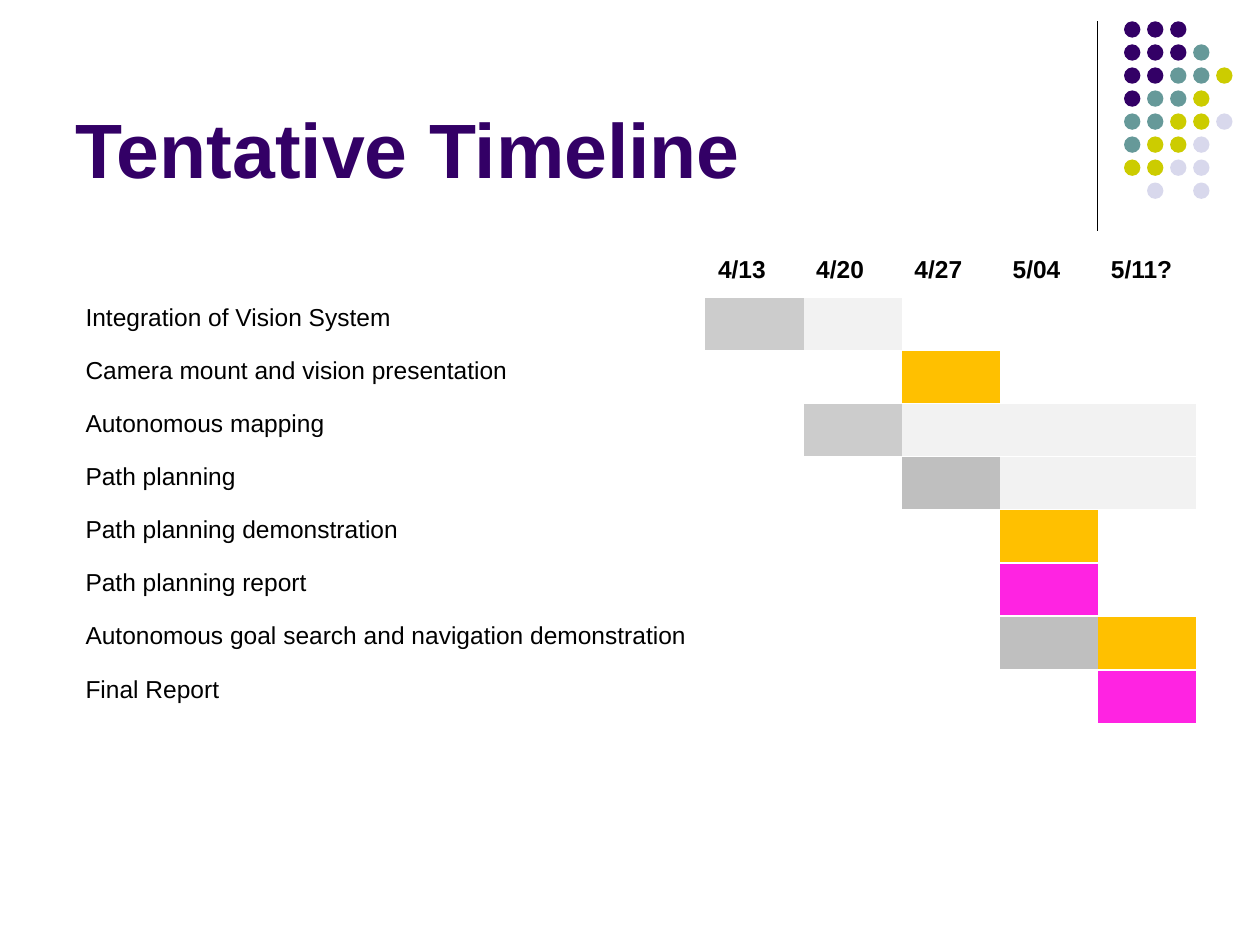
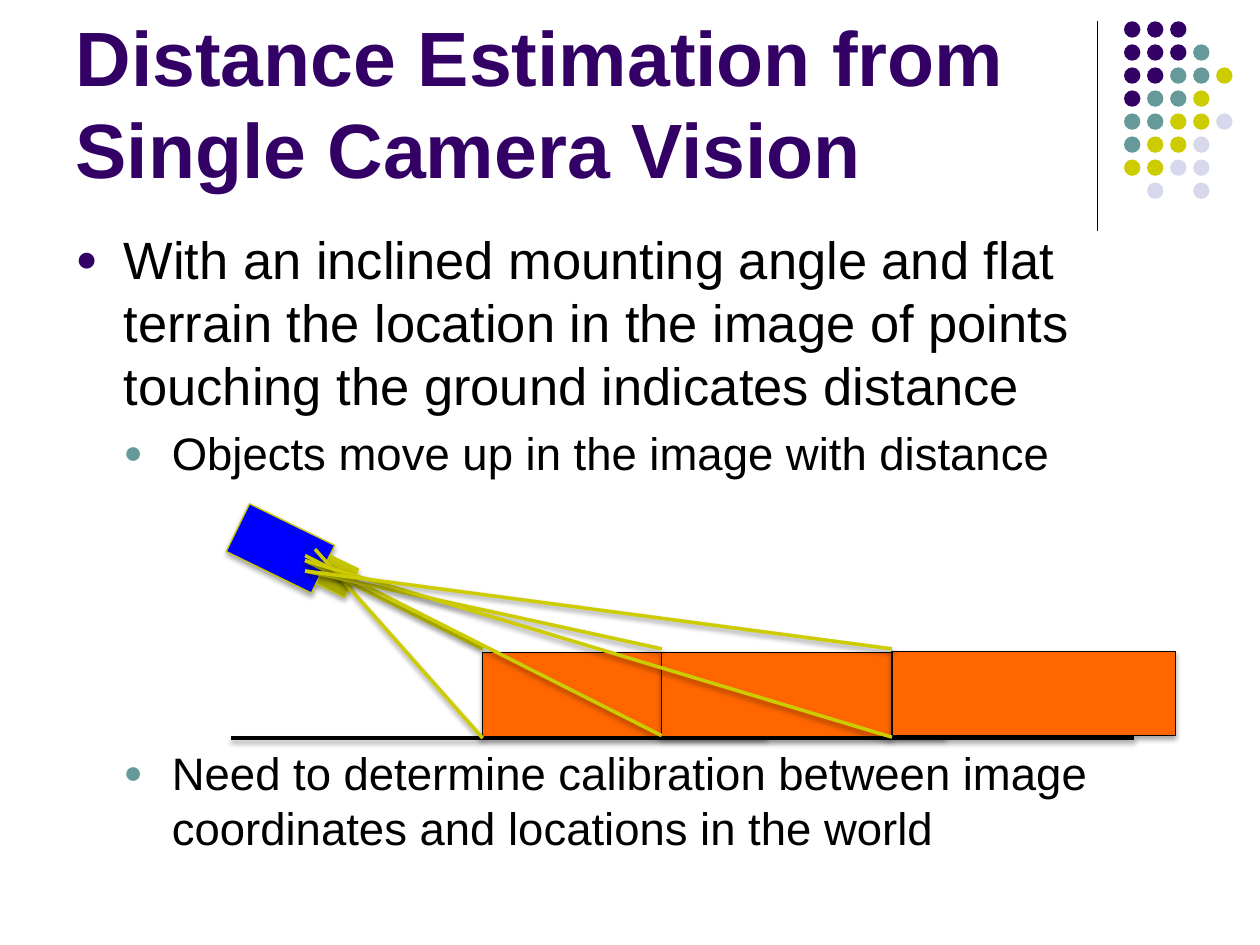
from lxml.etree import SubElement
from pptx import Presentation
from pptx.dml.color import RGBColor
from pptx.enum.shapes import MSO_CONNECTOR, MSO_SHAPE
from pptx.enum.text import MSO_ANCHOR, PP_ALIGN
from pptx.oxml import parse_xml
from pptx.oxml.ns import nsdecls, qn
from pptx.util import Cm, Pt

FONT = "Arial"
BLACK, WHITE, PURPLE, TEAL = "000000", "FFFFFF", "330066", "669999"
OLIVE, LILAC, ORANGE, BLUE = "CCCC00", "D8D8EC", "FF6600", "0000FF"
CAMERA_EDGE = "C8C800"


def paint(fill, colour):
    fill.solid()
    fill.fore_color.rgb = RGBColor.from_string(colour)


def set_shadow(shape, opacity=0, distance=0):
    """Replace the theme shadow; call after fill and line are set."""
    effects = SubElement(shape._element.spPr, qn("a:effectLst"))
    if opacity:
        effects.append(parse_xml(
            f'<a:outerShdw {nsdecls("a")} blurRad="{Pt(3.1)}" dist="{Pt(distance)}" '
            f'dir="5400000" rotWithShape="0"><a:srgbClr val="{BLACK}">'
            f'<a:alpha val="{opacity * 1000}"/></a:srgbClr></a:outerShdw>'))


prs = Presentation()
prs.slide_width, prs.slide_height = Cm(25.4), Cm(19.05)
timeline = prs.slides.add_slide(prs.slide_layouts[5])
vision = prs.slides.add_slide(prs.slide_layouts[1])

# Shared decoration: dot pattern and vertical rule, moved to the master
DOT_COLOURS = {"P": PURPLE, "T": TEAL, "O": OLIVE, "L": LILAC}
DOT_ROWS = ["PPP", "PPPT", "PPTTO", "PTTO", "TTOOL", "TOOL", "OOLL", " L L"]
DOT_STEP = 3.25 / 7
rule = timeline.shapes.add_connector(
    MSO_CONNECTOR.STRAIGHT, Cm(22.12), Cm(0.43), Cm(22.12), Cm(4.65))
paint(rule.line.fill, BLACK)
rule.line.width = Pt(0.75)
set_shadow(rule)
decoration = [rule]
for row, keys in enumerate(DOT_ROWS):
    for col, key in enumerate(keys):
        if key in DOT_COLOURS:
            dot = timeline.shapes.add_shape(
                MSO_SHAPE.OVAL, Cm(22.66 + col * DOT_STEP), Cm(0.43 + row * DOT_STEP),
                Cm(0.33), Cm(0.33))
            paint(dot.fill, DOT_COLOURS[key])
            dot.line.fill.background()
            dot.shadow.inherit = False
            decoration.append(dot)
for number, sp in enumerate(decoration, start=100):
    sp._element.xpath(".//p:cNvPr")[0].set("id", str(number))
    prs.slide_master.shapes._spTree.append(sp._element)

# Titles
for s, text in [(timeline, "Tentative Timeline"),
                (vision, "Distance Estimation from Single Camera Vision")]:
    title = s.shapes.title
    title.left, title.top, title.width, title.height = Cm(1.27), Cm(0.43), Cm(20.95), Cm(3.61)
    tf = title.text_frame
    tf.vertical_anchor = MSO_ANCHOR.BOTTOM
    p = tf.paragraphs[0]
    p.alignment = PP_ALIGN.LEFT
    r = p.add_run()
    r.text = text
    r.font.name, r.font.size, r.font.bold = FONT, Pt(44), True
    paint(r.font.fill, PURPLE)

# Timeline table: one letter per week
WEEK_FILLS = {".": WHITE, "s": "CCCCCC", "g": "BFBFBF", "c": "F2F2F2",
              "d": "FFC000", "r": "FF23E2"}
DATES = ["", "4/13", "4/20", "4/27", "5/04", "5/11?"]
TASKS = [
    ("Integration of Vision System", "sc..."),
    ("Camera mount and vision presentation", "..d.."),
    ("Autonomous mapping", ".sccc"),
    ("Path planning", "..gcc"),
    ("Path planning demonstration", "...d."),
    ("Path planning report", "...r."),
    ("Autonomous goal search and navigation demonstration", "...gd"),
    ("Final Report", "....r"),
]
COL_WIDTHS = [12.75] + [1.98] * 5
ROW_HEIGHTS = [0.84] + [1.07] * 6 + [1.09] * 2
table = timeline.shapes.add_table(
    len(ROW_HEIGHTS), len(COL_WIDTHS), Cm(1.47), Cm(5.03),
    Cm(sum(COL_WIDTHS)), Cm(sum(ROW_HEIGHTS))).table
table.first_row = table.horz_banding = False
for column, width in zip(table.columns, COL_WIDTHS):
    column.width = Cm(width)
for table_row, height in zip(table.rows, ROW_HEIGHTS):
    table_row.height = Cm(height)

rows = [(DATES, "......")] + [([task] + [""] * 5, "." + weeks) for task, weeks in TASKS]
for i, (texts, weeks) in enumerate(rows):
    for j, (text, week) in enumerate(zip(texts, weeks)):
        cell = table.cell(i, j)
        paint(cell.fill, WEEK_FILLS[week])
        r = cell.text_frame.paragraphs[0].add_run()
        r.text = text
        r.font.name, r.font.size, r.font.bold = FONT, Pt(14), i == 0
        paint(r.font.fill, BLACK)
        # White lines between rows and around the table, none between weeks
        borders = {"lnL": j == 0, "lnR": j == len(weeks) - 1, "lnT": True, "lnB": True}
        for k, (side, shown) in enumerate(borders.items()):
            line = (f'<a:solidFill><a:srgbClr val="{WHITE}"/></a:solidFill>'
                    if shown else "<a:noFill/>")
            cell._tc.get_or_add_tcPr().insert(k, parse_xml(
                f'<a:{side} {nsdecls("a")} w="{Pt(1)}">{line}</a:{side}>'))

# Body text: level, text, size, bullet colour, space before
BODY = [
    (0, "With an inclined mounting angle and flat terrain the location in the image "
        "of points touching the ground indicates distance", 30, PURPLE, 6),
    (1, "Objects move up in the image with distance", 26, TEAL, 5.2),
    (1, "Need to determine calibration between image coordinates and locations "
        "in the world", 26, TEAL, 151.8),
]
body = vision.placeholders[1]
body.left, body.top, body.width, body.height = Cm(1.27), Cm(4.45), Cm(22.86), Cm(12.57)
tf = body.text_frame
for n, (level, text, size, bullet, space) in enumerate(BODY):
    p = tf.add_paragraph() if n else tf.paragraphs[0]
    p.level = level
    p.space_before = Pt(space)
    r = p.add_run()
    r.text = text
    r.font.name, r.font.size = FONT, Pt(size)
    paint(r.font.fill, BLACK)
    pPr = p._p.get_or_add_pPr()
    pPr.set("marL", str(Cm(0.97 * (level + 1))))
    pPr.set("indent", str(Cm(-0.97)))
    SubElement(SubElement(pPr, qn("a:buClr")), qn("a:srgbClr")).set("val", bullet)
    SubElement(pPr, qn("a:buSzPct")).set("val", "70000")
    SubElement(pPr, qn("a:buFont")).set("typeface", FONT)
    SubElement(pPr, qn("a:buChar")).set("char", "●")

# Camera: body and lens, tilted down
camera = vision.shapes.add_shape(MSO_SHAPE.RECTANGLE, Cm(4.7), Cm(10.52), Cm(1.91), Cm(1.07))
paint(camera.fill, BLUE)
lens = vision.shapes.add_shape(MSO_SHAPE.RECTANGLE, Cm(6.48), Cm(11.3), Cm(0.64), Cm(0.64))
lens.fill.gradient()
lens.fill.gradient_angle = 90
for stop, position, colour in zip(lens.fill.gradient_stops, (0, 0.8), ("989800", "C7C700")):
    stop.position = position
    stop.color.rgb = RGBColor.from_string(colour)
for sp in (camera, lens):
    sp.rotation = 26
    paint(sp.line.fill, CAMERA_EDGE)
    sp.line.width = Pt(0.75)
    set_shadow(sp, 35, 1.8)

# Ground, then each block with its rays to the camera
ground = vision.shapes.add_connector(
    MSO_CONNECTOR.STRAIGHT, Cm(4.65), Cm(14.88), Cm(22.86), Cm(14.88))
paint(ground.line.fill, BLACK)
ground.line.width = Pt(2)
set_shadow(ground, 38, 1.6)

# Block left and top, then rays as (start y, end x, end y)
BLOCKS = [
    (9.73, 13.16, [(14.88, 6.35, 11.07), (13.08, 6.15, 11.3)]),
    (13.34, 13.16, [(14.83, 6.15, 11.2), (13.08, 6.15, 11.51)]),
    (17.98, 13.13, [(14.86, 6.15, 11.3), (13.08, 6.15, 11.51)]),
]
for left, top, rays in BLOCKS:
    block = vision.shapes.add_shape(MSO_SHAPE.RECTANGLE, Cm(left), Cm(top), Cm(5.72), Cm(1.7))
    paint(block.fill, ORANGE)
    paint(block.line.fill, BLACK)
    block.line.width = Pt(0.75)
    set_shadow(block, 35, 1.8)
    for start_y, end_x, end_y in rays:
        ray = vision.shapes.add_connector(
            MSO_CONNECTOR.STRAIGHT, Cm(left), Cm(start_y), Cm(end_x), Cm(end_y))
        paint(ray.line.fill, OLIVE)
        ray.line.width = Pt(2)
        set_shadow(ray, 38, 1.6)

prs.save("out.pptx")
